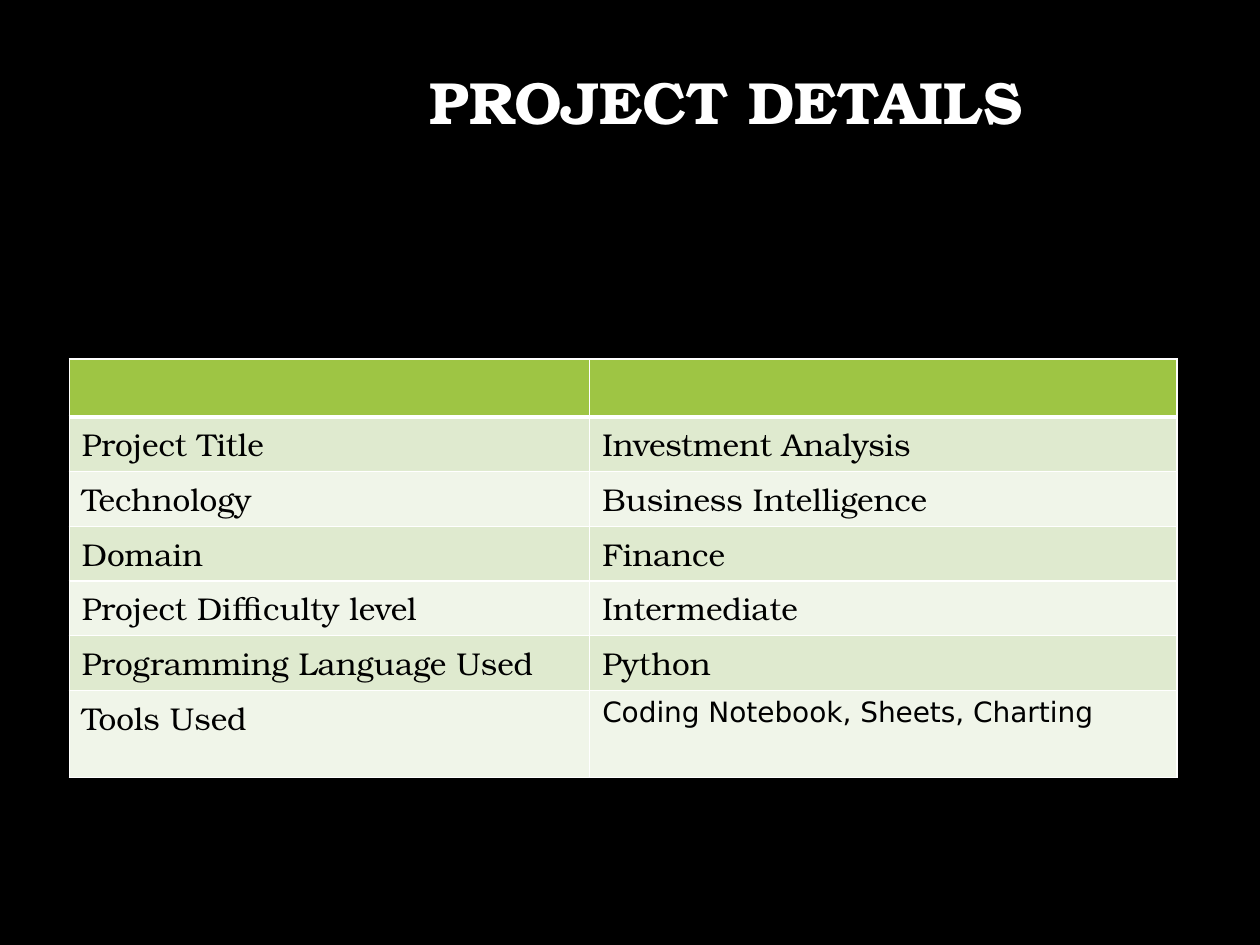
from dataclasses import dataclass

from lxml import etree
from pptx import Presentation
from pptx import util as u
from pptx.dml import color
from pptx.enum import text
from pptx.oxml import ns


@dataclass(frozen=True)
class Theme:
    background: str = "000000"
    light: str = "FFFFFF"
    dark: str = "000000"
    header: str = "9EC544"
    bands: tuple = ("DFEACF", "F0F5E9")
    serif: str = "TeX Gyre Bonum"
    sans: str = "DejaVu Sans"
    title_size: int = 34
    cell_size: int = 18
    tools_size: int = 16


THEME = Theme()
TITLE_BOX = (2.03, 0.17, 7.47, 1.33)
TABLE_LEFT, TABLE_TOP = 0.55, 2.85
COLUMN_WIDTHS = (4.13, 4.66)
HEADER_HEIGHT, ROW_HEIGHT, LAST_HEIGHT = 0.46, 0.43, 0.69
DETAILS = (
    ("Project Title", "Investment Analysis"),
    ("Technology", "Business Intelligence"),
    ("Domain", "Finance"),
    ("Project Difficulty level", "Intermediate"),
    ("Programming Language Used", "Python"),
    ("Tools Used", "Coding Notebook, Sheets, Charting"),
)


def rgb(value):
    return color.RGBColor.from_string(value)


def set_text(frame, content, font_color, **font_format):
    paragraph = frame.paragraphs[0]
    run = paragraph.add_run()
    run.text = content
    for name, value in font_format.items():
        setattr(run.font, name, value)
    run.font.color.rgb = rgb(font_color)
    return paragraph


def add_title(slide, content):
    title = slide.shapes.title
    for name, value in zip(("left", "top", "width", "height"), TITLE_BOX):
        setattr(title, name, u.Inches(value))
    title.text_frame.vertical_anchor = text.MSO_ANCHOR.MIDDLE
    paragraph = set_text(title.text_frame, content, THEME.light, name=THEME.serif,
                         size=u.Pt(THEME.title_size), bold=True)
    paragraph.alignment = text.PP_ALIGN.CENTER
    paragraph.line_spacing = 0.9


def set_borders(cell, widths):
    properties = cell._tc.get_or_add_tcPr()
    for position, (side, width) in enumerate(widths.items()):
        line = etree.Element(ns.qn(f"a:{side}"), w=str(u.Pt(width)))
        fill = etree.SubElement(line, ns.qn("a:solidFill"))
        etree.SubElement(fill, ns.qn("a:srgbClr"), val=THEME.light)
        properties.insert(position, line)


def style_cell(cell, fill_color, top=1, bottom=1):
    cell.fill.solid()
    cell.fill.fore_color.rgb = rgb(fill_color)
    set_borders(cell, {"lnL": 1, "lnR": 1, "lnT": top, "lnB": bottom})


def add_details_table(slide):
    heights = [HEADER_HEIGHT] + [ROW_HEIGHT] * (len(DETAILS) - 1) + [LAST_HEIGHT]
    box = (TABLE_LEFT, TABLE_TOP, sum(COLUMN_WIDTHS), sum(heights))
    table = slide.shapes.add_table(len(heights), len(COLUMN_WIDTHS),
                                   *map(u.Inches, box)).table
    for column, width in zip(table.columns, COLUMN_WIDTHS):
        column.width = u.Inches(width)
    for row, height in zip(table.rows, heights):
        row.height = u.Inches(height)
    for cell in table.rows[0].cells:
        style_cell(cell, THEME.header, bottom=3)
    for index, values in enumerate(DETAILS):
        for column, value in enumerate(values):
            cell = table.cell(index + 1, column)
            style_cell(cell, THEME.bands[index % 2], top=1 if index else 3)
            is_tools = value == DETAILS[-1][-1]
            set_text(cell.text_frame, value, THEME.dark,
                     name=THEME.sans if is_tools else THEME.serif,
                     size=u.Pt(THEME.tools_size if is_tools else THEME.cell_size))


def main():
    presentation = Presentation()
    presentation.slide_width = u.Inches(10)
    presentation.slide_height = u.Inches(7.5)
    slide = presentation.slides.add_slide(presentation.slide_layouts[5])
    slide.background.fill.solid()
    slide.background.fill.fore_color.rgb = rgb(THEME.background)
    add_title(slide, "PROJECT DETAILS")
    add_details_table(slide)
    presentation.save("out.pptx")


if __name__ == "__main__":
    main()
